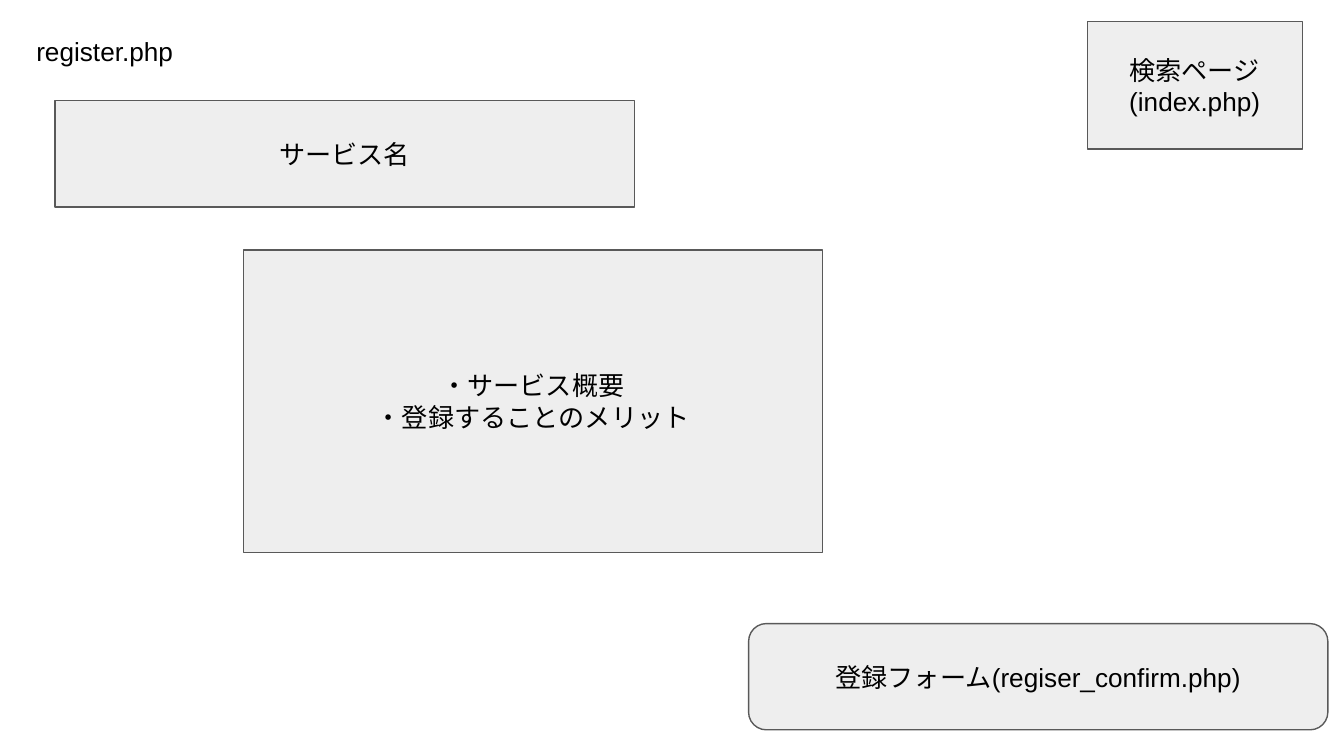
from dataclasses import dataclass
from lxml.etree import SubElement
from pptx import Presentation
from pptx.dml.color import RGBColor
from pptx.enum.shapes import MSO_SHAPE
from pptx.enum.text import MSO_ANCHOR, MSO_AUTO_SIZE, PP_ALIGN
from pptx.oxml.ns import qn
from pptx.util import Inches, Pt


@dataclass(frozen=True)
class Theme:
    font: str = "Arial"
    size: float = 14
    ink: str = "000000"
    fill: str = "EEEEEE"
    line: str = "595959"
    width: float = 0.75
    inset: float = 1


THEME = Theme()
CELL = Inches(0.1)
COLS, ROWS = 100, 56.25
WIDE, LOW = 43.1, 7.9


def span(count):
    return round(count * CELL)


def color(code):
    return RGBColor.from_string(code)


def place(shape, left, top, width, height):
    shape.left, shape.top = span(left), span(top)
    shape.width, shape.height = span(width), span(height)


def write(shape, text, align, anchor):
    frame = shape.text_frame
    frame.text = text
    frame.word_wrap = True
    frame.auto_size = MSO_AUTO_SIZE.NONE
    frame.vertical_anchor = anchor
    frame.margin_left = frame.margin_right = span(THEME.inset)
    frame.margin_top = frame.margin_bottom = span(THEME.inset)
    for para in frame.paragraphs:
        para.alignment = align
        para.line_spacing = 1.0
        para.space_before = Pt(0)
        for run in para.runs:
            font = run.font
            font.name = THEME.font
            font.size = Pt(THEME.size)
            font.color.rgb = color(THEME.ink)
            east = SubElement(run._r.get_or_add_rPr(), qn("a:ea"))
            east.set("typeface", THEME.font)


def add_title(slide, text, *area):
    title = slide.shapes.title
    place(title, *area)
    write(title, text, PP_ALIGN.LEFT, MSO_ANCHOR.TOP)


def add_box(slide, text, *area, kind=MSO_SHAPE.RECTANGLE):
    box = slide.shapes.add_shape(kind, *map(span, area))
    box.shadow.inherit = False
    box.fill.solid()
    box.fill.fore_color.rgb = color(THEME.fill)
    box.line.color.rgb = color(THEME.line)
    box.line.width = Pt(THEME.width)
    write(box, text, PP_ALIGN.CENTER, MSO_ANCHOR.MIDDLE)


def main():
    deck = Presentation()
    deck.slide_width, deck.slide_height = span(COLS), span(ROWS)
    slide = deck.slides.add_slide(deck.slide_layouts.get_by_name("Title Only"))
    add_title(slide, "register.php", 1.7, 1.6, 13.4, 5.3)
    add_box(slide, "登録フォーム(regiser_confirm.php)", 55.7, 46.4, WIDE, LOW,
            kind=MSO_SHAPE.ROUNDED_RECTANGLE)
    add_box(slide, "サービス名", 4.1, 7.5, WIDE, LOW)
    add_box(slide, "・サービス概要\n・登録することのメリット", 18.1, 18.6, WIDE, 22.5)
    add_box(slide, "検索ページ\n(index.php)", 80.9, 1.6, 16, 9.5)
    deck.save("out.pptx")


main()
